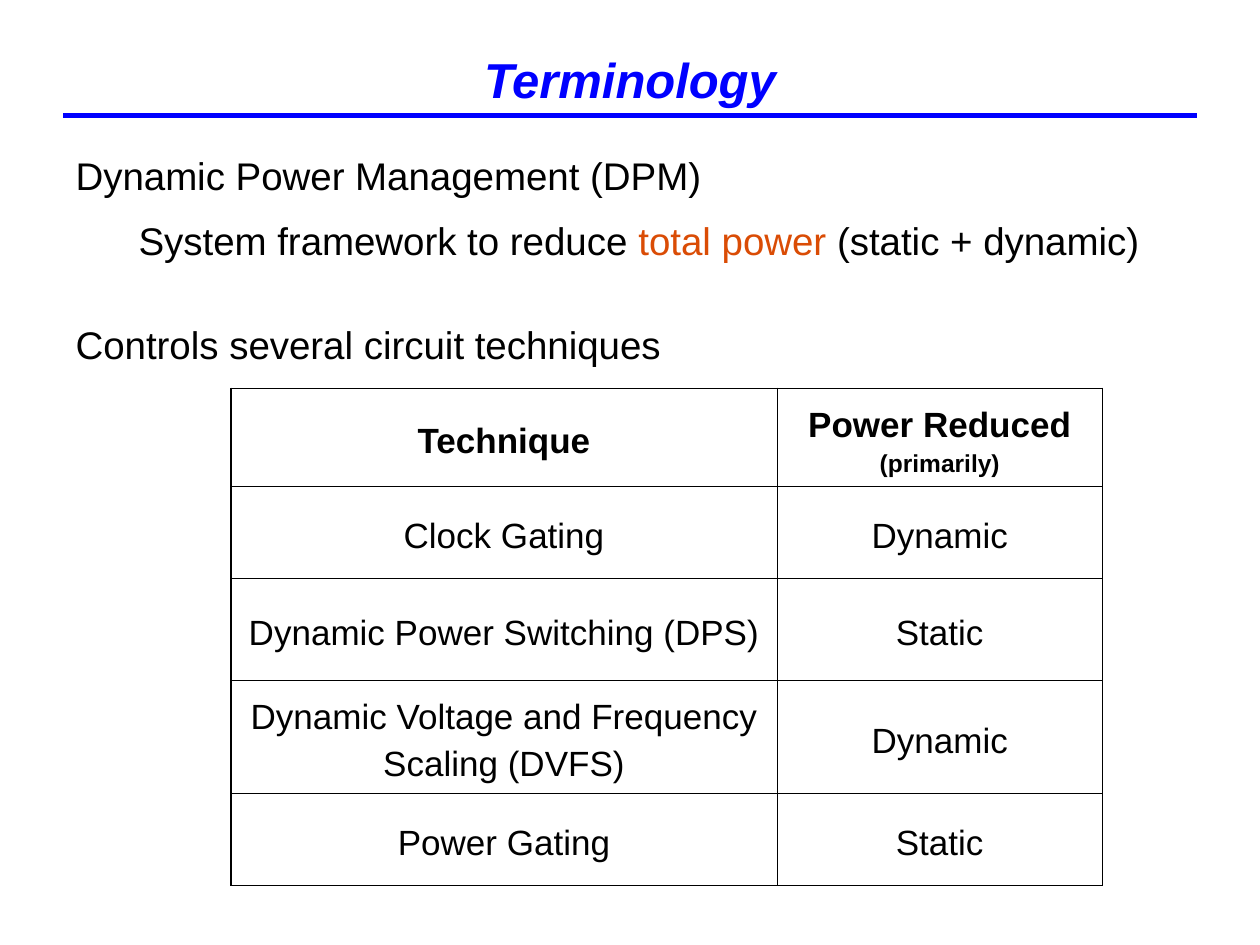
from lxml import etree
from pptx import Presentation
from pptx.dml.color import RGBColor
from pptx.enum.shapes import MSO_CONNECTOR
from pptx.enum.text import MSO_ANCHOR, MSO_AUTO_SIZE, PP_ALIGN
from pptx.oxml.ns import qn
from pptx.util import Pt

STRAIGHT = MSO_CONNECTOR.STRAIGHT
CENTER = PP_ALIGN.CENTER
LEFT = PP_ALIGN.LEFT
MIDDLE = MSO_ANCHOR.MIDDLE
TOP = MSO_ANCHOR.TOP
NO_AUTOFIT = MSO_AUTO_SIZE.NONE

BLUE = RGBColor(0x00, 0x00, 0xFF)
BLACK = RGBColor(0x00, 0x00, 0x00)
ORANGE = RGBColor(0xDA, 0x4C, 0x05)
FONT = "Arial"
OUTER, INNER = 1.08, 0.45


def style(font, size, color, bold=False, italic=False):
    font.name = FONT
    font.size = Pt(size)
    font.bold = bold
    font.italic = italic
    font.color.rgb = color


def add_border(cell, side, width):
    line = etree.SubElement(cell._tc.get_or_add_tcPr(), qn("a:" + side), w=str(Pt(width)))
    fill = etree.SubElement(line, qn("a:solidFill"))
    etree.SubElement(fill, qn("a:srgbClr"), val=str(BLACK))


prs = Presentation()
prs.slide_width, prs.slide_height = Pt(720), Pt(540)
slide = prs.slides.add_slide(prs.slide_layouts[1])

title = slide.shapes.title
title.left, title.top, title.width, title.height = Pt(36), Pt(18), Pt(648), Pt(54)
title.text_frame.text = "Terminology"
title.text_frame.auto_size = NO_AUTOFIT
title.text_frame.vertical_anchor = MIDDLE
heading = title.text_frame.paragraphs[0]
heading.alignment = CENTER
style(heading.runs[0].font, 28, BLUE, bold=True, italic=True)

title_rule = slide.shapes.add_connector(STRAIGHT, Pt(36), Pt(66), Pt(684), Pt(66))
title_rule.line.color.rgb = BLUE
title_rule.line.width = Pt(3)
etree.SubElement(title_rule._element.spPr, qn("a:effectLst"))
title._element.addprevious(title_rule._element)

body = slide.placeholders[1]
body.left, body.top, body.width, body.height = Pt(36), Pt(78), Pt(666), Pt(420)
points = body.text_frame
points.auto_size = NO_AUTOFIT
points.vertical_anchor = TOP
statements = [
    (0, 0, [("Dynamic Power Management (DPM)", BLACK)]),
    (1, 5.5, [("System framework to reduce ", BLACK), ("total power", ORANGE),
              (" (static + dynamic)", BLACK)]),
    (0, 27.5, [("Controls several circuit techniques", BLACK)]),
]
indents = [(27, -27), (58.5, -22.5)]
for index, (level, space_before, parts) in enumerate(statements):
    statement = points.add_paragraph() if index else points.paragraphs[0]
    statement.level = level
    statement.alignment = LEFT
    statement.line_spacing = 1.2
    statement.space_before = Pt(space_before)
    margin, hanging = indents[level]
    properties = statement._p.get_or_add_pPr()
    properties.set("marL", str(Pt(margin)))
    properties.set("indent", str(Pt(hanging)))
    etree.SubElement(properties, qn("a:buNone"))
    for words, color in parts:
        run = statement.add_run()
        run.text = words
        style(run.font, 22, color)

techniques = [
    ("Technique", "Power Reduced "),
    ("Clock Gating", "Dynamic"),
    ("Dynamic Power Switching (DPS)", "Static"),
    ("Dynamic Voltage and Frequency Scaling (DVFS)", "Dynamic"),
    ("Power Gating", "Static"),
]
column_widths = [312, 186]
row_heights = [56, 52.5, 58.5, 64.5, 52.5]
last_row, last_column = len(row_heights) - 1, len(column_widths) - 1
table = slide.shapes.add_table(
    len(row_heights), len(column_widths), Pt(132), Pt(222),
    Pt(sum(column_widths)), Pt(sum(row_heights))).table
table.horz_banding = False
for column, width in zip(table.columns, column_widths):
    column.width = Pt(width)

for r, entries in enumerate(techniques):
    table.rows[r].height = Pt(row_heights[r])
    for c, entry in enumerate(entries):
        cell = table.cell(r, c)
        cell.vertical_anchor = MIDDLE
        cell.margin_left = cell.margin_right = Pt(7.2)
        cell.margin_top = cell.margin_bottom = Pt(3.6)
        edges = [("lnL", c == 0), ("lnR", c == last_column),
                 ("lnT", r == 0), ("lnB", r == last_row)]
        for side, is_outer in edges:
            add_border(cell, side, OUTER if is_outer else INNER)
        cell.fill.background()
        cell.text_frame.text = entry
        label = cell.text_frame.paragraphs[0]
        label.alignment = CENTER
        label.line_spacing = 1.2
        style(label.runs[0].font, 20, BLACK, bold=r == 0)

qualifier = table.cell(0, 1).text_frame.paragraphs[0].add_run()
qualifier.text = "(primarily)"
style(qualifier.font, 14, BLACK, bold=True)

prs.save("out.pptx")
